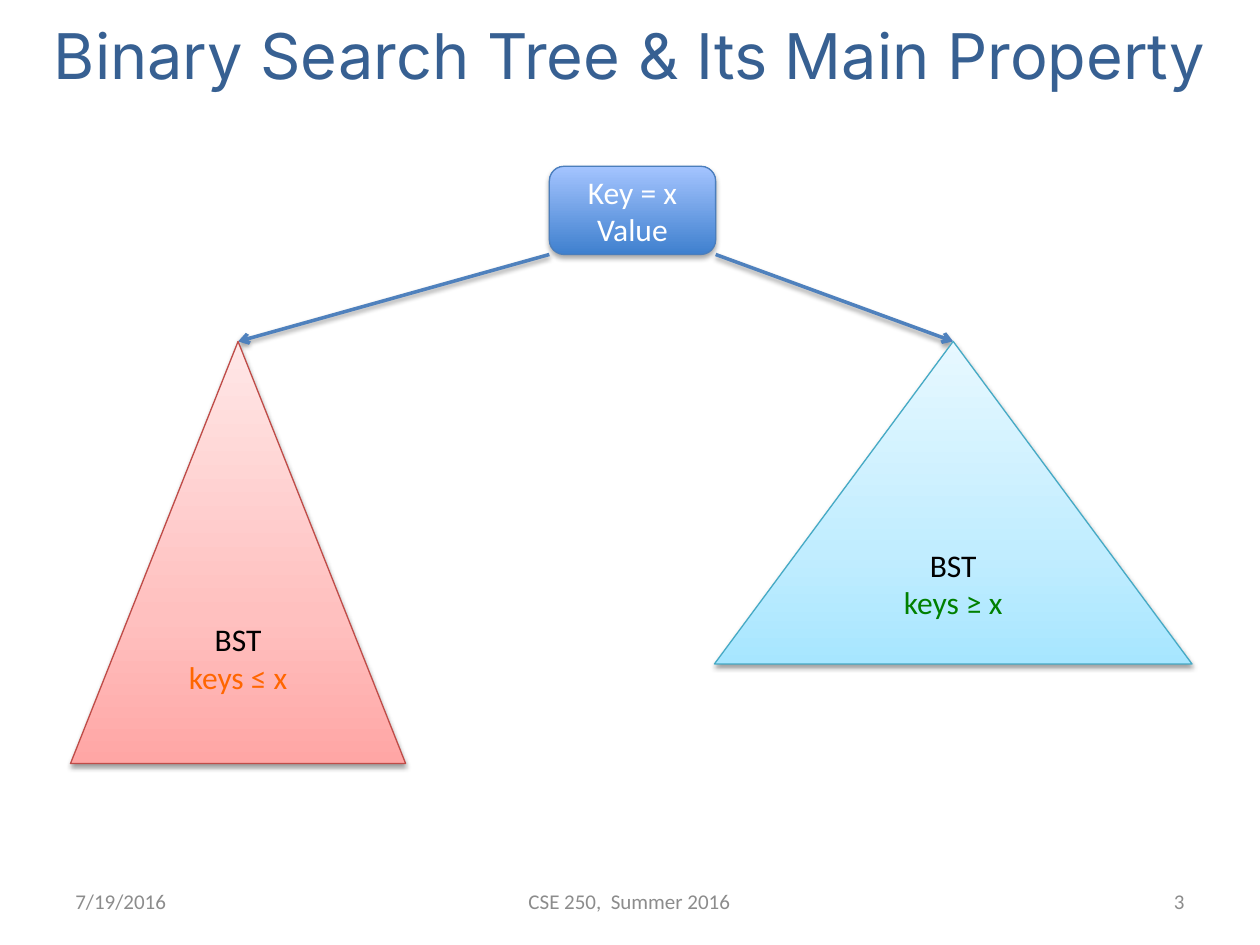
from dataclasses import dataclass

from pptx import Presentation
from pptx.dml.color import RGBColor
from pptx.enum.shapes import MSO_CONNECTOR, MSO_SHAPE
from pptx.enum.text import MSO_ANCHOR, PP_ALIGN
from pptx.oxml import parse_xml
from pptx.oxml.ns import nsdecls, qn
from pptx.util import Inches, Pt

LEFT, CENTER, RIGHT = PP_ALIGN.LEFT, PP_ALIGN.CENTER, PP_ALIGN.RIGHT
MIDDLE = MSO_ANCHOR.MIDDLE
STRAIGHT = MSO_CONNECTOR.STRAIGHT
ROUNDED, TRIANGLE = MSO_SHAPE.ROUNDED_RECTANGLE, MSO_SHAPE.ISOSCELES_TRIANGLE


@dataclass(frozen=True)
class Theme:
    title_font: str = "Inter"
    body_font: str = "Calibri"
    title_size: int = 36
    body_size: int = 18
    footer_size: int = 12
    title: str = "376092"
    footer: str = "8C8C8C"
    white: str = "FFFFFF"
    black: str = "000000"
    smaller: str = "FF6600"
    larger: str = "008000"
    arrow: str = "4F81BD"
    node_line: str = "4B7EBC"
    left_line: str = "BF4C48"
    right_line: str = "46AAC5"
    node_fill: tuple = ((0, "3F80CE"), (100, "A4C4FF"))
    left_fill: tuple = ((0, "FFA6A5"), (35, "FFC0BF"), (100, "FFE7E7"))
    right_fill: tuple = ((0, "A7E6FF"), (35, "C1EDFF"), (100, "E7F8FF"))


class SlideBuilder:
    """Draws themed text, tree shapes and arrows on one slide."""

    def __init__(self, slide, theme):
        self.slide = slide
        self.theme = theme

    def set_text(self, shape, text, colors, size, font, align):
        frame = shape.text_frame
        frame.word_wrap = True
        frame.vertical_anchor = MIDDLE
        paragraph = frame.paragraphs[0]
        paragraph.text = text
        paragraph.alignment = align
        for run, color in zip(paragraph.runs, colors):
            run.font.name = font
            run.font.size = Pt(size)
            run.font.color.rgb = RGBColor.from_string(color)

    def text(self, box, text, color, size, font, align):
        shape = self.slide.shapes.add_textbox(*map(Inches, box))
        self.set_text(shape, text, [color], size, font, align)

    def shadow(self, shape, distance, opacity):
        properties = shape._element.spPr
        effects = properties.find(qn("a:effectLst"))
        if effects is None:
            effects = parse_xml(f'<a:effectLst {nsdecls("a")}/>')
            properties.append(effects)
        effects.append(parse_xml(
            f'<a:outerShdw {nsdecls("a")} blurRad="{Pt(3.1)}" dist="{Pt(distance)}" '
            f'dir="5400000" rotWithShape="0"><a:srgbClr val="{self.theme.black}">'
            f'<a:alpha val="{opacity * 1000}"/></a:srgbClr></a:outerShdw>'))

    def node(self, kind, box, stops, line, lines, colors, distance=1.6, opacity=38):
        shape = self.slide.shapes.add_shape(kind, *map(Inches, box))
        shape.fill.gradient()
        shape.fill.gradient_angle = 90
        stop_list = shape._element.spPr.find(qn("a:gradFill")).find(qn("a:gsLst"))
        stop_list.clear()
        for position, color in stops:
            stop_list.append(parse_xml(
                f'<a:gs {nsdecls("a")} pos="{position * 1000}">'
                f'<a:srgbClr val="{color}"/></a:gs>'))
        shape.line.color.rgb = RGBColor.from_string(line)
        shape.line.width = Pt(0.75)
        shape.shadow.inherit = False
        self.shadow(shape, distance, opacity)
        self.set_text(shape, "\v".join(lines), colors, self.theme.body_size,
                      self.theme.body_font, CENTER)

    def arrow(self, start, end):
        connector = self.slide.shapes.add_connector(
            STRAIGHT, *map(Inches, (*start, *end)))
        connector.line.color.rgb = RGBColor.from_string(self.theme.arrow)
        connector.line.width = Pt(2)
        connector._element.spPr.find(qn("a:ln")).append(
            parse_xml(f'<a:tailEnd {nsdecls("a")} type="arrow"/>'))
        self.shadow(connector, 1.6, 38)


def main():
    presentation = Presentation()
    presentation.slide_width = Inches(10)
    presentation.slide_height = Inches(7.5)
    slide = presentation.slides.add_slide(presentation.slide_layouts[6])
    theme = Theme()
    builder = SlideBuilder(slide, theme)

    builder.text((0, 0.07, 10, 0.73), "Binary Search Tree & Its Main Property",
                 theme.title, theme.title_size, theme.title_font, CENTER)

    left, top, width, height = root = (4.36, 1.32, 1.32, 0.7)
    builder.node(ROUNDED, root, theme.node_fill, theme.node_line,
                 ("Key = x", "Value"), (theme.white, theme.white), 1.8, 35)

    subtrees = (
        (left, (0.56, 2.71, 2.66, 3.35), theme.left_fill, theme.left_line,
         "keys ≤ x", theme.smaller),
        (left + width, (5.67, 2.71, 3.79, 2.56), theme.right_fill, theme.right_line,
         "keys ≥ x", theme.larger),
    )
    for corner, box, *_ in subtrees:
        builder.arrow((corner, top + height), (box[0] + box[2] / 2, box[1]))
    for _, box, stops, line, keys, color in subtrees:
        builder.node(TRIANGLE, box, stops, line, ("BST", keys), (theme.black, color))

    footers = (
        (0.5, 2.33, "7/19/2016", LEFT),
        (2.92, 4.15, "CSE 250,  Summer 2016", CENTER),
        (7.17, 2.33, "3", RIGHT),
    )
    for x, span, text, align in footers:
        builder.text((x, 6.95, span, 0.4), text, theme.footer,
                     theme.footer_size, theme.body_font, align)

    presentation.save("out.pptx")


main()
